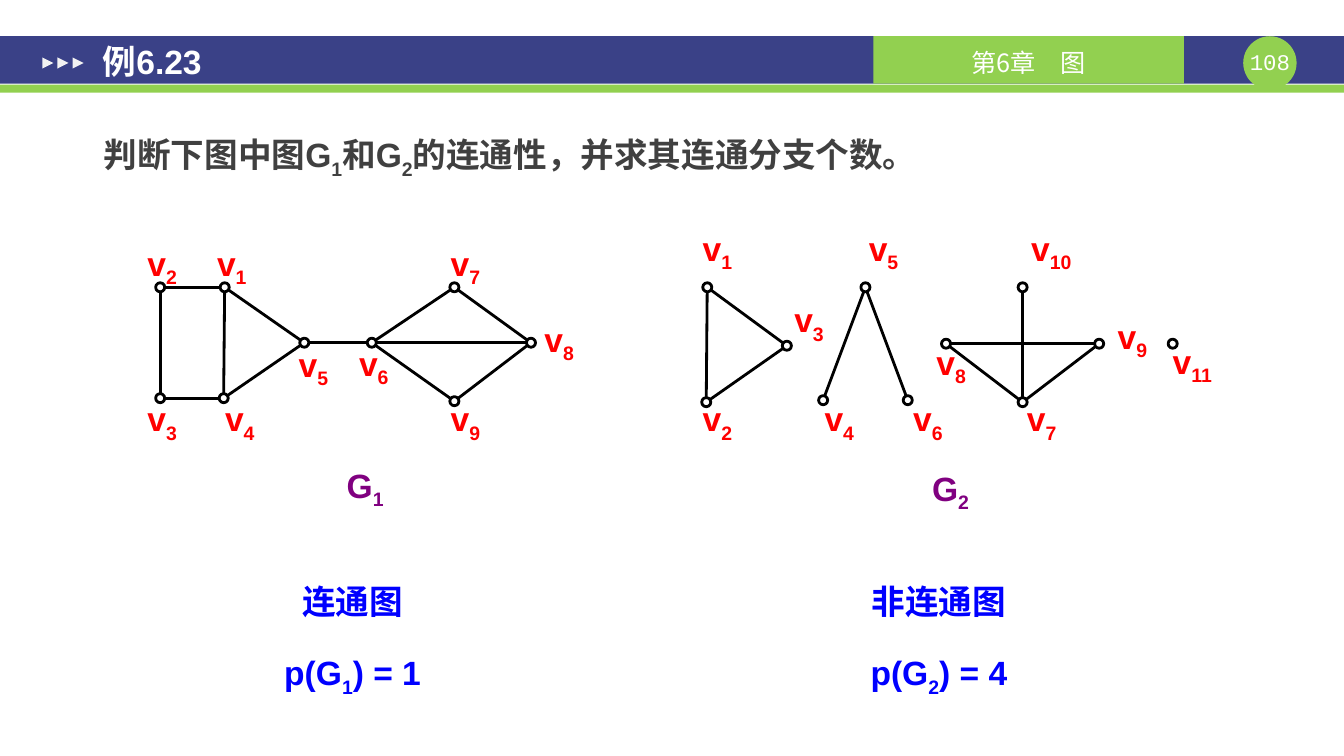
"""Build the slide for example 6.23 on the connectivity of two graphs."""
from dataclasses import dataclass

from pptx import Presentation
from pptx.dml.color import RGBColor
from pptx.enum.shapes import MSO_CONNECTOR, MSO_SHAPE
from pptx.enum.text import MSO_ANCHOR, MSO_AUTO_SIZE, PP_ALIGN
from pptx.oxml.ns import qn
from pptx.util import Inches, Pt

RECT, OVAL, WEDGE = MSO_SHAPE.RECTANGLE, MSO_SHAPE.OVAL, MSO_SHAPE.ISOSCELES_TRIANGLE
LINE = MSO_CONNECTOR.STRAIGHT
LEFT, CENTER = PP_ALIGN.LEFT, PP_ALIGN.CENTER
TOP, MIDDLE = MSO_ANCHOR.TOP, MSO_ANCHOR.MIDDLE
FIXED = MSO_AUTO_SIZE.NONE

NAVY = RGBColor(0x3A, 0x41, 0x87)
GREEN = RGBColor(0x92, 0xD0, 0x50)
WHITE = RGBColor(0xFF, 0xFF, 0xFF)
PALE = RGBColor(0xF2, 0xF2, 0xF2)
GREY = RGBColor(0x40, 0x40, 0x40)
BLACK = RGBColor(0, 0, 0)
RED = RGBColor(0xFF, 0, 0)
PURPLE = RGBColor(0x80, 0, 0x80)
BLUE = RGBColor(0, 0, 0xFF)

CJK = "Noto Sans CJK SC"
DOT = 0.09


@dataclass(frozen=True)
class Style:
    color: RGBColor
    size: int = 24
    font: str = "Arial"
    bold: bool = True


@dataclass(frozen=True)
class Node:
    """A vertex: its number, its centre and the top left of its label."""
    num: int
    x: float
    y: float
    left: float
    top: float
    wide: float = 0.52


@dataclass(frozen=True)
class Graph:
    num: int
    left: float
    top: float
    nodes: tuple[Node, ...]
    edges: tuple[tuple[int, int], ...]


@dataclass(frozen=True)
class Answer:
    left: float
    wide: float
    verdict: str
    graph: str
    count: int


GRAPHS = (
    Graph(1, 3.29, 4.61, (
        Node(1, 2.23, 2.85, 2.04, 2.41),
        Node(2, 1.59, 2.85, 1.35, 2.41),
        Node(3, 1.59, 3.95, 1.35, 3.95),
        Node(4, 2.22, 3.95, 2.12, 3.95),
        Node(5, 3.02, 3.4, 2.85, 3.41),
        Node(6, 3.69, 3.4, 3.45, 3.4),
        Node(7, 4.51, 2.85, 4.36, 2.41),
        Node(8, 5.27, 3.4, 5.29, 3.16),
        Node(9, 4.51, 3.98, 4.36, 3.95),
    ), ((1, 2), (2, 3), (3, 4), (1, 4), (1, 5), (4, 5),
        (5, 6), (6, 7), (6, 8), (6, 9), (7, 8), (8, 9))),
    Graph(2, 9.1, 4.64, (
        Node(1, 7.02, 2.85, 6.86, 2.26),
        Node(2, 7.01, 3.99, 6.86, 3.95),
        Node(3, 7.81, 3.43, 7.77, 2.97),
        Node(4, 8.17, 3.97, 8.07, 3.95),
        Node(5, 8.59, 2.85, 8.51, 2.26),
        Node(6, 9.01, 3.97, 8.95, 3.95),
        Node(7, 10.15, 3.99, 10.08, 3.95),
        Node(8, 9.39, 3.41, 9.18, 3.39),
        Node(9, 10.91, 3.41, 10.98, 3.13),
        Node(10, 10.15, 2.85, 10.04, 2.26, 0.79),
        Node(11, 11.64, 3.41, 11.5, 3.38, 0.67),
    ), ((1, 2), (1, 3), (2, 3), (4, 5), (5, 6),
        (7, 8), (7, 9), (8, 9), (7, 10))),
)
ANSWERS = (
    Answer(2, 3, "连通图", "1", 1),
    Answer(7.51, 3.62, "非连通图", "2", 4),
)


def write(para, parts: tuple[str, ...], style: Style, align=CENTER) -> None:
    """Add the parts as runs; every second part is a subscript."""
    para.alignment = align
    for i, part in enumerate(parts):
        run = para.add_run()
        run.text = part
        font = run.font
        font.size, font.bold, font.name = Pt(style.size), style.bold, style.font
        font.color.rgb = style.color
        props = font._element
        props.makeelement(qn("a:ea"), {"typeface": CJK})
        props.find(qn("a:latin")).addnext(
            props.makeelement(qn("a:ea"), {"typeface": CJK}))
        if i % 2:
            props.set("baseline", "-25000")


def place(item, left: float, top: float, wide: float, high: float) -> None:
    """Move and size a placeholder."""
    item.left, item.top = Inches(left), Inches(top)
    item.width, item.height = Inches(wide), Inches(high)


def frame(item, side: float, top: float, base: float, anchor=TOP):
    """Set the insets and anchor of a text frame and return it."""
    text = item.text_frame
    text.word_wrap, text.auto_size, text.vertical_anchor = True, FIXED, anchor
    text.margin_left = text.margin_right = Inches(side)
    text.margin_top, text.margin_bottom = Inches(top), Inches(base)
    return text


def shape(slide, kind, left: float, top: float, wide: float, high: float,
          fill: RGBColor):
    """Draw a plain filled shape without a line."""
    item = slide.shapes.add_shape(
        kind, Inches(left), Inches(top), Inches(wide), Inches(high))
    item.shadow.inherit = False
    item.fill.solid()
    item.fill.fore_color.rgb = fill
    item.line.fill.background()
    return item


def label(slide, left: float, top: float, wide: float, high: float,
          parts: tuple[str, ...], style: Style) -> None:
    """Draw a centred label without insets."""
    box = slide.shapes.add_textbox(
        Inches(left), Inches(top), Inches(wide), Inches(high))
    write(frame(box, 0, 0, 0).paragraphs[0], parts, style)


def header(slide) -> None:
    """Draw the top band with chapter name and page number."""
    shape(slide, RECT, 0, 0.36, 13.34, 0.47, NAVY)
    shape(slide, RECT, 0, 0.84, 13.34, 0.08, GREEN)
    shape(slide, OVAL, 12.34, 0.36, 0.53, 0.53, GREEN)
    label(slide, 12.34, 0.48, 0.53, 0.27, ("108",),
          Style(WHITE, 16, "Courier New", False))
    tab = shape(slide, RECT, 8.67, 0.36, 3.08, 0.47, GREEN)
    write(frame(tab, 0.1, 0.04, 0, MIDDLE).paragraphs[0], ("第6章　图",),
          Style(WHITE, 18, CJK, False))
    for i in range(3):
        mark = shape(slide, WEDGE, 0.42 + 0.15 * i, 0.57, 0.11, 0.11, PALE)
        mark.rotation = 90


def heading(slide) -> None:
    """Fill the title and body placeholders and lift them above the band."""
    title, body = slide.shapes.title, slide.placeholders[1]
    place(title, 0.89, 0.34, 10.27, 0.91)
    place(body, 0.4, 1.26, 11.77, 0.77)
    write(frame(title, 0.13, 0.07, 0.07).paragraphs[0], ("例6.23",),
          Style(WHITE), LEFT)
    para = frame(body, 0.13, 0.07, 0.07).paragraphs[0]
    para.space_before = Pt(0)
    props = para._p.get_or_add_pPr()
    props.set("marL", str(Inches(0.5)))
    props.set("indent", "0")
    props.append(props.makeelement(qn("a:buNone"), {}))
    write(para, ("判断下图中图G", "1", "和G", "2", "的连通性，并求其连通分支个数。"),
          Style(GREY), LEFT)
    for item in (title, body):
        item.element.getparent().append(item.element)


def draw(slide, graph: Graph) -> None:
    """Draw the edges, then the vertices and labels of a graph."""
    nodes = {node.num: node for node in graph.nodes}
    for start, end in graph.edges:
        a, b = nodes[start], nodes[end]
        edge = slide.shapes.add_connector(
            LINE, Inches(a.x), Inches(a.y), Inches(b.x), Inches(b.y))
        edge.line.color.rgb, edge.line.width = BLACK, Pt(2)
        props = edge.element.spPr
        props.append(props.makeelement(qn("a:effectLst"), {}))
    for node in graph.nodes:
        dot = shape(slide, OVAL, node.x - DOT / 2, node.y - DOT / 2, DOT, DOT, WHITE)
        dot.line.color.rgb, dot.line.width = BLACK, Pt(2)
        label(slide, node.left, node.top, node.wide, 0.64,
              ("v", str(node.num)), Style(RED))
    label(slide, graph.left, graph.top, 0.67, 0.7, ("G", str(graph.num)), Style(PURPLE))


def answer(slide, data: Answer) -> None:
    """Write the verdict and the number of components."""
    box = slide.shapes.add_textbox(
        Inches(data.left), Inches(5.51), Inches(data.wide), Inches(1.32))
    text = frame(box, 0.1, 0.05, 0.05)
    first, last = text.paragraphs[0], text.add_paragraph()
    first.line_spacing = last.line_spacing = 1.5
    last.space_before = Pt(6)
    write(first, (data.verdict,), Style(BLUE))
    write(last, ("p(G", data.graph, f") = {data.count}"), Style(BLUE))


def main() -> None:
    """Build and save the slide."""
    deck = Presentation()
    deck.slide_width, deck.slide_height = Inches(13.34), Inches(7.5)
    slide = deck.slides.add_slide(deck.slide_layouts[1])
    header(slide)
    heading(slide)
    for graph in GRAPHS:
        draw(slide, graph)
    for data in ANSWERS:
        answer(slide, data)
    deck.save("out.pptx")


if __name__ == "__main__":
    main()
